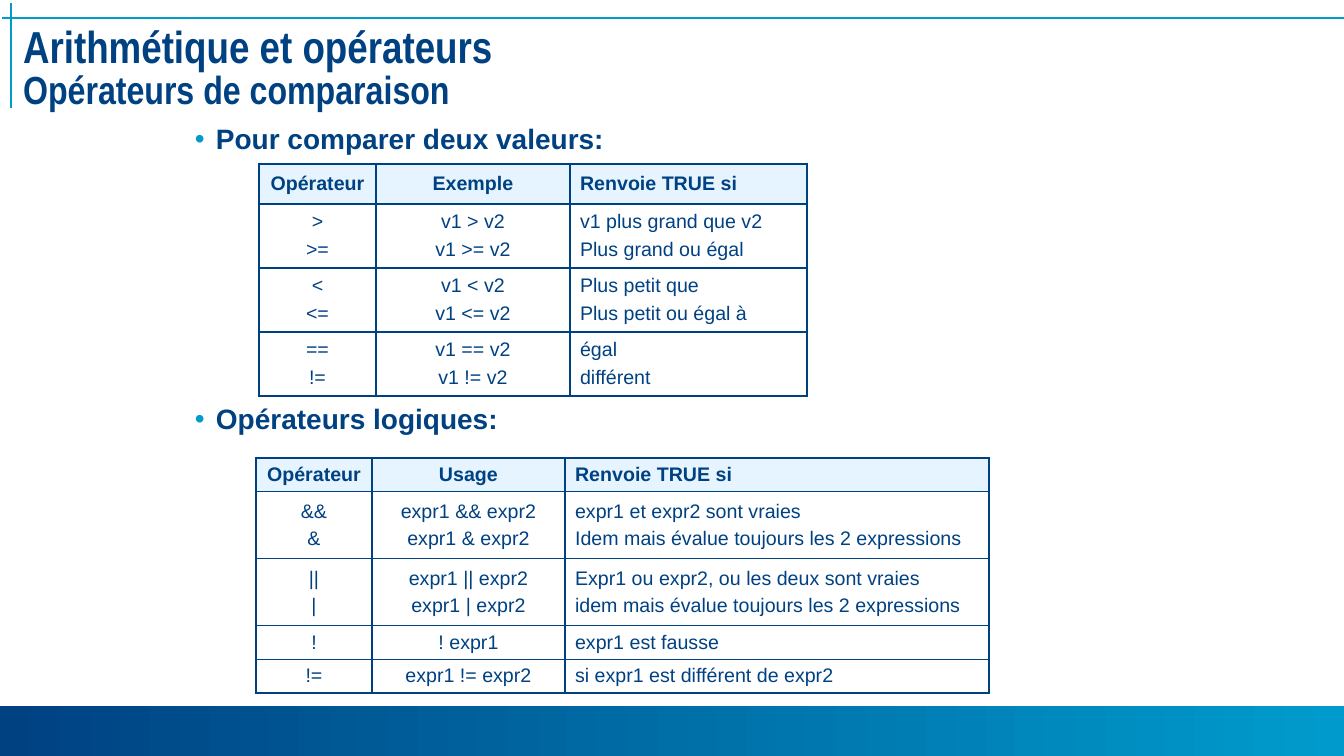
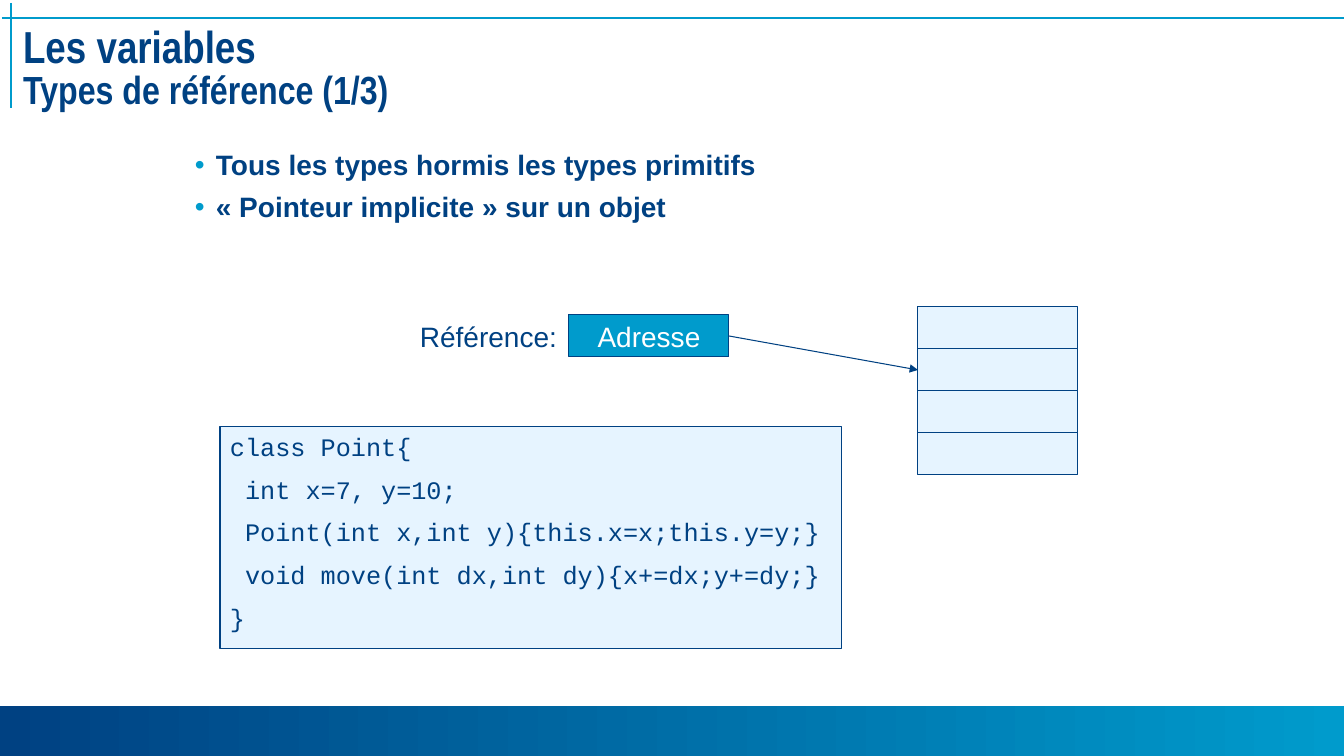
from lxml.etree import SubElement
from pptx import Presentation
from pptx.dml.color import RGBColor
from pptx.enum.shapes import MSO_CONNECTOR, MSO_SHAPE
from pptx.enum.text import MSO_ANCHOR as ANCHOR, PP_ALIGN as ALIGN
from pptx.oxml.ns import qn
from pptx.util import Emu, Pt

color = RGBColor.from_string
NAVY, CYAN, PALE, WHITE = "004182", "009BCC", "E6F4FF", "FFFFFF"
EMU_PER_PX = 914400 / 100.8


def px(*lengths):
    return [Emu(round(length * EMU_PER_PX)) for length in lengths]


def write(frame, lines, size, gap=0, bold=False, ink=NAVY, font="Arial", align=ALIGN.LEFT, bullet=False):
    """Fill a text frame with one paragraph per line, gap points apart."""
    for index, line in enumerate(lines):
        para = frame.paragraphs[0] if index == 0 else frame.add_paragraph()
        para.text = line
        if bullet:
            properties = para._p.get_or_add_pPr()
            indent, = px(21)
            properties.set("marL", str(indent))
            properties.set("indent", str(-indent))
            bullet_color = SubElement(properties, qn("a:buClr"))
            SubElement(bullet_color, qn("a:srgbClr"), val=CYAN)
            SubElement(properties, qn("a:buFont"), typeface="Arial")
            SubElement(properties, qn("a:buChar"), char="•")
        para.alignment = align
        para.space_before = Pt(gap if index else 0)
        para.font.name = font
        para.font.size = Pt(size)
        para.font.bold = bold
        para.font.color.rgb = color(ink)


deck = Presentation()
deck.slide_width, deck.slide_height = px(1344, 756)
title_only = deck.slide_layouts[5]

# Shared frame: band, title and bullets
contents = [
    (["Arithmétique et opérateurs", "Opérateurs de comparaison"],
     117, 176, ["Pour comparer deux valeurs:", "Opérateurs logiques:"]),
    (["Les variables", "Types de référence (1/3)"],
     143, 6, ["Tous les types hormis les types primitifs", "« Pointeur implicite » sur un objet"]),
]
lines = []
for headings, bullets_top, bullet_gap, bullets in contents:
    page = deck.slides.add_slide(title_only)

    band = page.shapes.add_shape(MSO_SHAPE.RECTANGLE, *px(0, 706, 1344, 50))
    band.shadow.inherit = False
    band.line.fill.background()
    band.fill.gradient()
    band.fill.gradient_angle = 0
    for stop, position, shade in zip(band.fill.gradient_stops, (0, 1), (NAVY, CYAN)):
        stop.position = position
        stop.color.rgb = color(shade)

    title = page.shapes.title
    title.left, title.top, title.width, title.height = px(13, 19, 1321, 102)
    frame = title.text_frame
    frame.vertical_anchor = ANCHOR.MIDDLE
    frame.margin_top, frame.margin_bottom = px(4, 4)
    write(frame, headings, 28, bold=True, font="Arial Narrow")
    frame.paragraphs[0].font.size = Pt(32)
    for para in frame.paragraphs:
        para.line_spacing = 0.85

    body = page.shapes.add_textbox(*px(185, bullets_top, 975, bullet_gap * 7 // 5 + 76))
    body.text_frame.word_wrap = True
    write(body.text_frame, bullets, 20, bullet_gap, bold=True, bullet=True)

    lines += [(page, (2, 18, 1344, 18), CYAN, 1, False), (page, (11, 3, 11, 108), CYAN, 1, False)]

operators_page, reference_page = deck.slides

# Operator tables
tables = [
    ((259, 164), (117, 194, 237), (40, 64, 64, 64), [
        ("Opérateur", "Exemple", "Renvoie TRUE si"),
        (">\n>=", "v1 > v2\nv1 >= v2", "v1 plus grand que v2\nPlus grand ou égal"),
        ("<\n<=", "v1 < v2\nv1 <= v2", "Plus petit que\nPlus petit ou égal à"),
        ("==\n!=", "v1 == v2\nv1 != v2", "égal\ndifférent"),
    ]),
    ((256, 458), (116, 193, 424), (33, 67, 67, 33, 33), [
        ("Opérateur", "Usage", "Renvoie TRUE si"),
        ("&&\n&", "expr1 && expr2\nexpr1 & expr2",
         "expr1 et expr2 sont vraies\nIdem mais évalue toujours les 2 expressions"),
        ("||\n|", "expr1 || expr2\nexpr1 | expr2",
         "Expr1 ou expr2, ou les deux sont vraies\nidem mais évalue toujours les 2 expressions"),
        ("!", "! expr1", "expr1 est fausse"),
        ("!=", "expr1 != expr2", "si expr1 est différent de expr2"),
    ]),
]
for corner, widths, heights, rows in tables:
    table = operators_page.shapes.add_table(
        len(heights), len(widths), *px(*corner, sum(widths), sum(heights))).table
    table.horz_banding = False
    for column, width in zip(table.columns, px(*widths)):
        column.width = width
    for row, height in zip(table.rows, px(*heights)):
        row.height = height
    last_row, last_column = len(heights) - 1, len(widths) - 1
    for r, texts in enumerate(rows):
        for c, text in enumerate(texts):
            cell = table.cell(r, c)
            cell.vertical_anchor = ANCHOR.MIDDLE
            write(cell.text_frame, text.split("\n"), 14, 4, bold=r == 0,
                  align=ALIGN.LEFT if c == last_column else ALIGN.CENTER)
            outer_edges = {"L": c == 0, "R": c == last_column, "T": r == 0, "B": r == last_row}
            for side, is_outer in outer_edges.items():
                border = SubElement(cell._tc.get_or_add_tcPr(), qn(f"a:ln{side}"),
                                    w=str(Pt(2.25 if is_outer else 1)))
                SubElement(SubElement(border, qn("a:solidFill")), qn("a:srgbClr"), val=NAVY)
            cell.fill.solid()
            cell.fill.fore_color.rgb = color(WHITE if r else PALE)

# Reference diagram and class code
label = reference_page.shapes.add_textbox(*px(410, 315, 157, 43))
label.text_frame.word_wrap = False
label.text_frame.margin_right = 0
write(label.text_frame, ["Référence:"], 20)

code = [
    "class Point{",
    " int x=7, y=10;",
    " Point(int x,int y){this.x=x;this.y=y;}",
    " void move(int dx,int dy){x+=dx;y+=dy;}",
    "}",
]
address_area, code_area = (569, 315, 160, 42), (220, 426, 622, 223)
memory_areas = [(918, 307 + 42 * slot, 160, 42) for slot in range(4)]
for area in [address_area, *memory_areas, code_area]:
    box = reference_page.shapes.add_shape(MSO_SHAPE.RECTANGLE, *px(*area))
    box.shadow.inherit = False
    box.fill.solid()
    box.fill.fore_color.rgb = color(CYAN if area == address_area else PALE)
    box.line.color.rgb = color(NAVY)
    box.line.width = Pt(0.75)
    frame = box.text_frame
    if area == address_area:
        write(frame, ["Adresse"], 20, ink=WHITE, align=ALIGN.CENTER)
    elif area == code_area:
        frame.vertical_anchor = ANCHOR.TOP
        write(frame, code, 18, 9, font="Courier New")

# Title rules and the reference arrow
lines.append((reference_page, (729, 336, 918, 370), NAVY, 0.75, True))
for page, ends, ink, weight, has_arrowhead in lines:
    line = page.shapes.add_connector(MSO_CONNECTOR.STRAIGHT, *px(*ends))
    line.line.color.rgb = color(ink)
    line.line.width = Pt(weight)
    properties = line._element.spPr
    if has_arrowhead:
        SubElement(properties.find(qn("a:ln")), qn("a:tailEnd"), type="triangle")
    SubElement(properties, qn("a:effectLst"))

deck.save("out.pptx")
